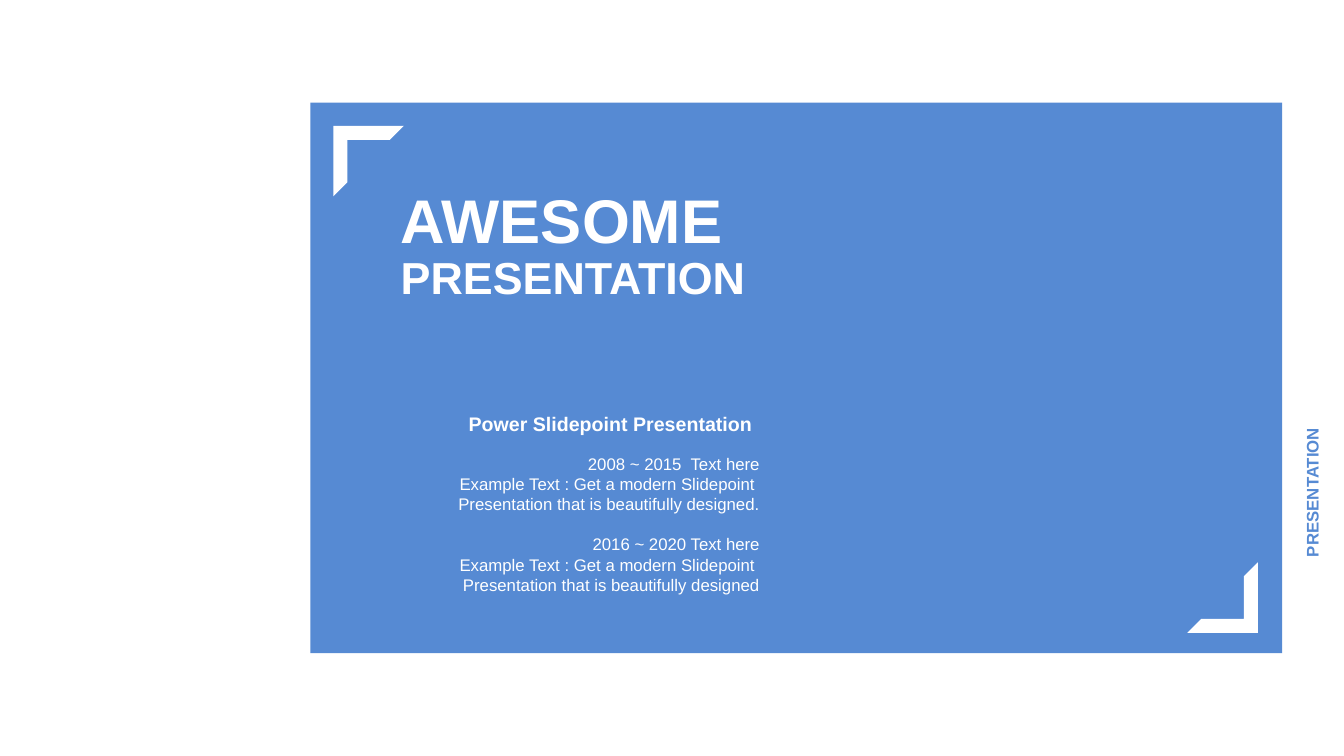
from pptx import Presentation
from pptx.dml.color import RGBColor
from pptx.enum.shapes import MSO_SHAPE as Preset
from pptx.enum.text import MSO_ANCHOR as Anchor, MSO_AUTO_SIZE as AutoSize, PP_ALIGN as Align
from pptx.util import Cm, Pt

COLORS = {"blue": "568AD3", "white": "FFFFFF"}
PERIODS = [
    ("2008 ~ 2015  Text here",
     "Example Text : Get a modern Slidepoint  Presentation that is beautifully designed."),
    ("2016 ~ 2020 Text here",
     "Example Text : Get a modern Slidepoint  Presentation that is beautifully designed"),
]


def color(name):
    """Return the named palette colour."""
    return RGBColor.from_string(COLORS[name])


def apply(target, formats):
    """Set every attribute of a format dict on the target."""
    for key, value in formats.items():
        setattr(target, key, value)


def place(shape, box):
    """Move a shape to a box of left, top, width and height in cm."""
    apply(shape, dict(zip(("left", "top", "width", "height"), map(Cm, box))))


def write(holder, box, lines, size, bold=True, hue="white", align=Align.LEFT,
          anchor=Anchor.MIDDLE, inset=0.25):
    """Fill a text holder with evenly formatted paragraphs."""
    place(holder, box)
    frame = holder.text_frame
    apply(frame, {"word_wrap": True, "auto_size": AutoSize.SHAPE_TO_FIT_TEXT,
                  "vertical_anchor": anchor,
                  "margin_left": Cm(inset), "margin_right": Cm(inset),
                  "margin_top": Cm(0.13), "margin_bottom": Cm(0.13)})
    frame.text = "\n".join(lines)
    for paragraph in frame.paragraphs:
        paragraph.alignment = align
        for run in paragraph.runs:
            apply(run.font, {"name": "Arial", "size": Pt(size), "bold": bold})
            run.font.color.rgb = color(hue)
    return frame


def add_block(slide, preset, box, hue):
    """Add a plain filled shape without an outline."""
    block = slide.shapes.add_shape(preset, *map(Cm, box))
    block.shadow.inherit = False
    block.fill.solid()
    block.fill.fore_color.rgb = color(hue)
    block.line.fill.background()
    return block


def add_text(slide, box, lines, size, **formats):
    """Add a text box and write its lines."""
    holder = slide.shapes.add_textbox(*map(Cm, box))
    return holder, write(holder, box, lines, size, **formats)


def build_panel(slide, box):
    """Draw the blue panel and its two corner brackets."""
    left, top, _, _ = box
    add_block(slide, Preset.RECTANGLE, box, "blue")
    for dx, dy, turn in [(0.58, 0.58, 0), (22.1, 11.58, 180)]:
        bracket = add_block(slide, Preset.HALF_FRAME,
                            (left + dx, top + dy, 1.78, 1.78), "white")
        bracket.rotation = turn
        for index in range(2):
            bracket.adjustments[index] = 0.2


def build_heading(slide, box):
    """Set the two-line title."""
    left, top, width, _ = box
    title = slide.shapes.title
    tree = title._element.getparent()
    tree.append(title._element)
    write(title, (left, top, width, 2.11), ["AWESOME"], 44)
    add_text(slide, (left, top + 1.7, width, 1.6), ["PRESENTATION"], 32)


def build_periods(slide, box):
    """Set the subtitle and the right-aligned periods below it."""
    left, top, width, height = box
    formats = {"align": Align.RIGHT, "anchor": Anchor.TOP}
    add_text(slide, (left + 0.08, top, width - 0.08, 0.84),
             ["Power Slidepoint Presentation "], 14, inset=0.3, **formats)
    lines = [line for period in PERIODS for line in period]
    _, frame = add_text(slide, (left, top + 1.06, width, height - 1.06),
                        lines, 12, bold=False, **formats)
    for paragraph in frame.paragraphs[2::2]:
        paragraph.space_before = Pt(14.4)


def build_side_label(slide, box):
    """Set the upward label beside the panel."""
    label, _ = add_text(slide, box, ["PRESENTATION"], 12, hue="blue")
    label.rotation = 270


def main():
    """Build and save the cover slide."""
    deck = Presentation()
    apply(deck, {"slide_width": Cm(33.87), "slide_height": Cm(19.05)})
    cover = deck.slides.add_slide(deck.slide_layouts[5])
    left, top, width, height = panel = (7.82, 2.59, 24.49, 13.87)
    build_panel(cover, panel)
    build_heading(cover, (left + 2.03, top + 1.88, 9.53, 3.3))
    build_periods(cover, (left + 3.07, top + 7.65, 8.51, 4.87))
    build_side_label(cover, (28.3, 9.14, 9.53, 0.76))
    deck.save("out.pptx")


if __name__ == "__main__":
    main()
